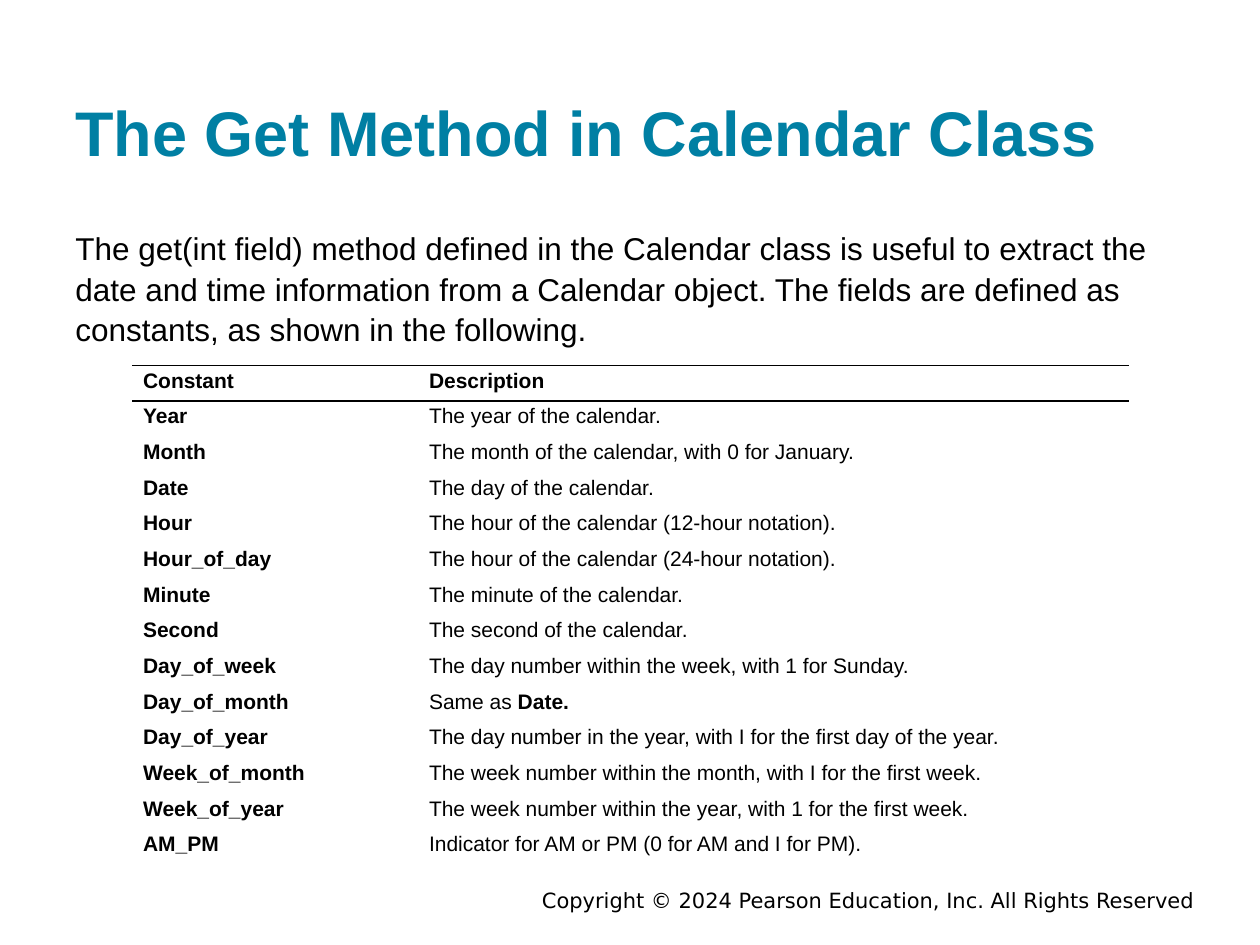
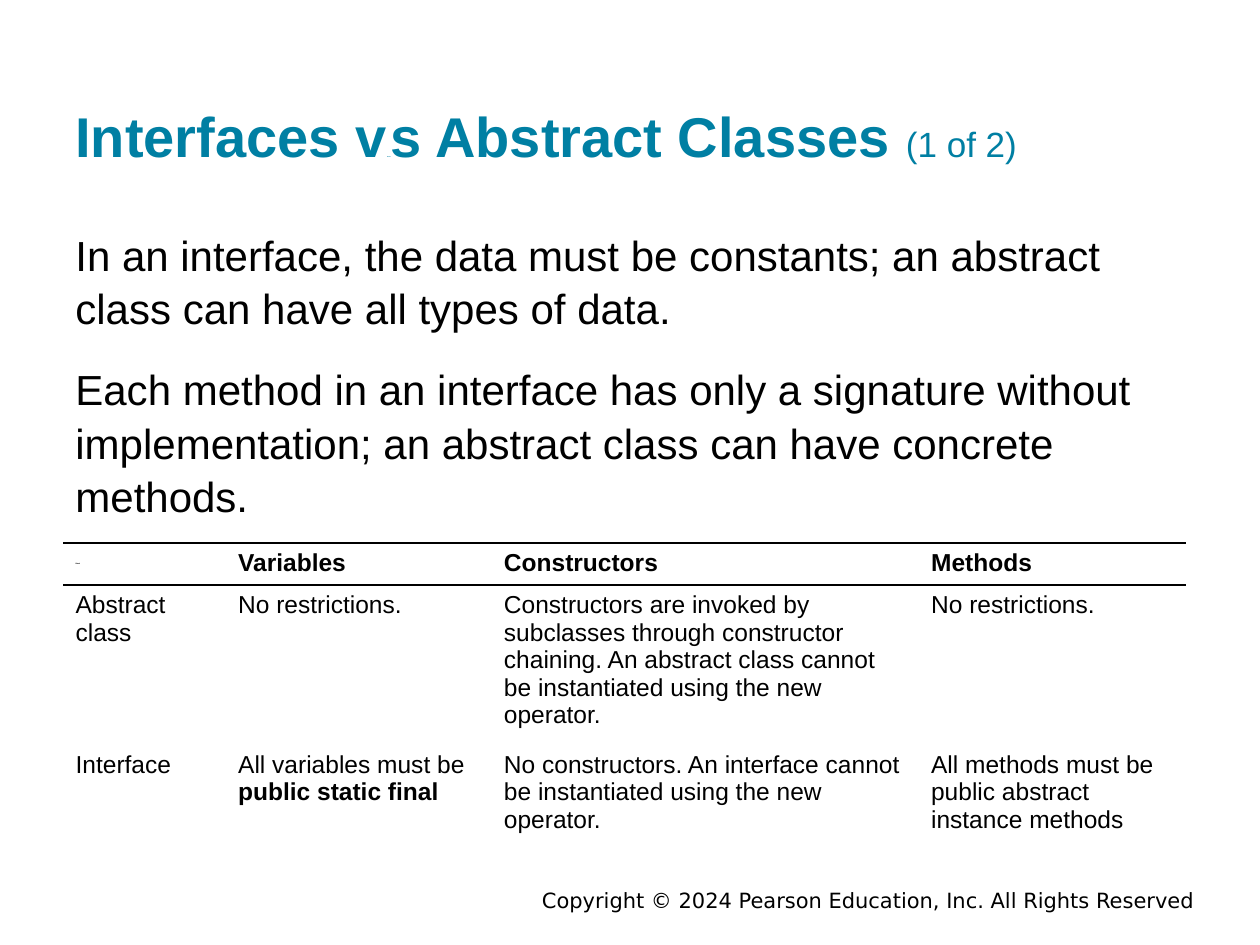
import pptx
import pptx.util
import pptx.dml.color
import pptx.enum.text
import pptx.oxml
import pptx.oxml.ns

Pt = pptx.util.Pt
ALIGN = pptx.enum.text.PP_ALIGN
ANCHOR = pptx.enum.text.MSO_ANCHOR
BLACK, TEAL, WHITE = "000000", "007FA3", "FFFFFF"

# Shared text styles
TITLE = {"name": "Arial", "size": 36, "bold": True, "color": TEAL}
BODY = {"name": "Arial", "size": 18, "bold": False, "color": BLACK}
FOOT = {"name": "DejaVu Sans", "size": 12, "bold": False, "color": BLACK}
NOTICE = "Copyright © 2024 Pearson Education, Inc. All Rights Reserved"


def rgb(code):
    return pptx.dml.color.RGBColor.from_string(code)


def write(frame, paras, style, gap=0, **format):
    """Fill a frame; a paragraph is a list of (text, changes to style)."""
    frame.word_wrap = True
    for i, runs in enumerate(paras):
        para = frame.paragraphs[0] if i == 0 else frame.add_paragraph()
        para.space_before = Pt(gap if i else 0)
        for key, value in format.items():
            setattr(para, key, value)
        for text, change in runs:
            run = para.add_run()
            run.text = text
            for key, value in {**style, **change}.items():
                if key == "color":
                    run.font.color.rgb = rgb(value)
                else:
                    setattr(run.font, key, Pt(value) if key == "size" else value)


bold, tiny = {"bold": True}, {"size": 1}

# Content of each slide
fields = [
    ("Constant", "Description"),
    ("Year", "The year of the calendar."),
    ("Month", "The month of the calendar, with 0 for January."),
    ("Date", "The day of the calendar."),
    ("Hour", "The hour of the calendar (12-hour notation)."),
    ("Hour_of_day", "The hour of the calendar (24-hour notation)."),
    ("Minute", "The minute of the calendar."),
    ("Second", "The second of the calendar."),
    ("Day_of_week", "The day number within the week, with 1 for Sunday."),
    ("Day_of_month", [("Same as ", {}), ("Date.", bold)]),
    ("Day_of_year", "The day number in the year, with I for the first day of the year."),
    ("Week_of_month", "The week number within the month, with I for the first week."),
    ("Week_of_year", "The week number within the year, with 1 for the first week."),
    ("AM_PM", "Indicator for AM or PM (0 for AM and I for PM)."),
]
kinds = [
    ([("Blank", tiny)], "Variables", "Constructors", "Methods"),
    ("Abstract class", "No restrictions.",
     "Constructors are invoked by subclasses through constructor chaining. "
     "An abstract class cannot be instantiated using the new operator.",
     "No restrictions."),
    ("Interface",
     [("All variables must be ", {}), ("public static final", bold)],
     "No constructors. An interface cannot be instantiated using the new operator.",
     "All methods must be public abstract instance methods"),
]
pages = [
    {
        "title": [("The Get Method in Calendar Class", {})],
        "body": ["The get(int field) method defined in the Calendar class is useful "
                 "to extract the date and time information from a Calendar object. "
                 "The fields are defined as constants, as shown in the following."],
        "size": 18, "top": 122.4, "high": 76.3,
        "grid": fields, "at": (75.6, 208.8), "cols": [163.4, 406.1],
        "rows": [20.4] * len(fields), "font": 12, "pad": (6.2, 2.16), "keys": True,
    },
    {
        "title": [("Interfaces v", {"size": 32}), ("ersu", tiny),
                  ("s Abstract Classes ", {"size": 32}),
                  ("(1 of 2)", {"size": 20, "bold": False})],
        "body": ["In an interface, the data must be constants; an abstract class "
                 "can have all types of data.",
                 "Each method in an interface has only a signature without "
                 "implementation; an abstract class can have concrete methods."],
        "size": 24, "top": 121.7, "high": 172.8,
        "grid": kinds, "at": (36, 310.3), "cols": [92.9, 151.9, 244.1, 152.6],
        "rows": [22.9, 85.6, 54.2], "font": 14, "pad": (7.2, 3.6), "keys": False,
    },
]

deck = pptx.Presentation()
deck.slide_width, deck.slide_height = Pt(720), Pt(540)

for page in pages:
    slide = deck.slides.add_slide(deck.slide_layouts[6])

    # Footer, title and body: place, anchor, insets, text
    boxes = [
        ((126, 506.2, 563.8, 15.8), ANCHOR.MIDDLE, 3.6, [[(NOTICE, {})]], FOOT,
         {"alignment": ALIGN.RIGHT}),
        ((36, 17.3, 647.3, 86.4), ANCHOR.BOTTOM, 7.2, [page["title"]], TITLE, {}),
        ((36, page["top"], 647.3, page["high"]), ANCHOR.TOP, 7.2,
         [[(text, {})] for text in page["body"]], {**BODY, "size": page["size"]},
         {"gap": 15, "line_spacing": 1.07}),
    ]
    for place, anchor, inset, paras, style, format in boxes:
        frame = slide.shapes.add_textbox(*map(Pt, place)).text_frame
        frame.vertical_anchor = anchor
        frame.margin_left = frame.margin_right = Pt(7.2)
        frame.margin_top = frame.margin_bottom = Pt(inset)
        write(frame, paras, style, **format)

    # Table with rules above and below the header row
    cols, rows = page["cols"], page["rows"]
    size = sum(cols), sum(rows)
    table = slide.shapes.add_table(
        len(rows), len(cols), *map(Pt, page["at"] + size)).table
    table.first_row = table.horz_banding = False
    for col, width in zip(table.columns, cols):
        col.width = Pt(width)
    for r, line in enumerate(page["grid"]):
        table.rows[r].height = Pt(rows[r])
        for c, text in enumerate(line):
            cell = table.cell(r, c)
            side, edge = map(Pt, page["pad"])
            cell.margin_left = cell.margin_right = side
            cell.margin_top = cell.margin_bottom = edge
            cell.vertical_anchor = ANCHOR.MIDDLE if text == kinds[0][0] else ANCHOR.TOP
            props = cell._tc.get_or_add_tcPr()
            for name in "LRTB":
                ruled = (name == "T" and r < 2) or (name == "B" and r == 0)
                ink = (f'<a:solidFill><a:srgbClr val="{BLACK}"/></a:solidFill>'
                       if ruled else "<a:noFill/>")
                props.append(pptx.oxml.parse_xml(
                    f'<a:ln{name} {pptx.oxml.ns.nsdecls("a")} w="12700">{ink}</a:ln{name}>'))
            cell.fill.solid()
            cell.fill.fore_color.rgb = rgb(WHITE)
            strong = r == 0 or (page["keys"] and c == 0)
            runs = [(text, {})] if isinstance(text, str) else text
            write(cell.text_frame, [runs],
                  {**BODY, "size": page["font"], "bold": strong})

deck.save("out.pptx")
